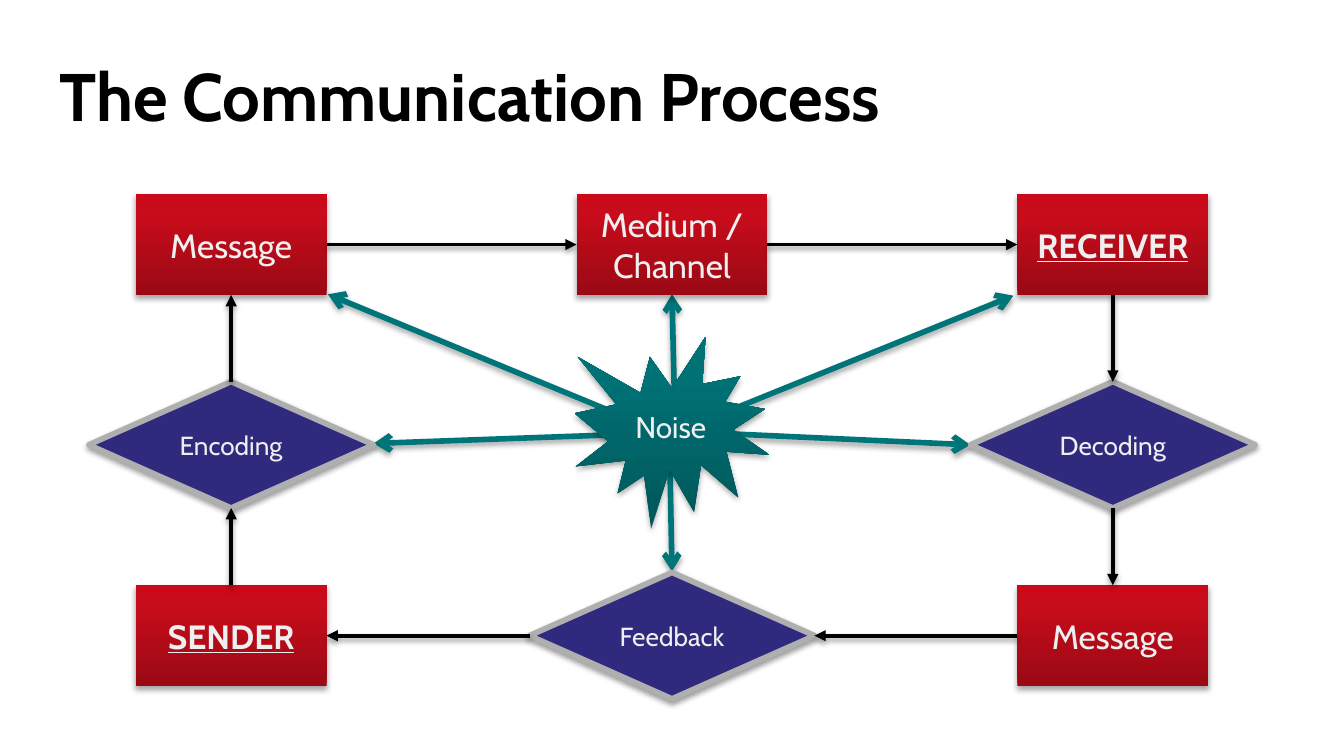
from copy import deepcopy

from lxml.etree import SubElement
from pptx import Presentation
from pptx.dml.color import RGBColor
from pptx.enum.shapes import MSO_CONNECTOR as Connector, MSO_SHAPE as Preset
from pptx.enum.text import MSO_ANCHOR as Anchor, PP_ALIGN as Align
from pptx.oxml.ns import qn
from pptx.util import Inches, Pt

TOP, LEFT, BOTTOM, RIGHT = range(4)


def color(value):
    return RGBColor.from_string(value)


class Diagram:
    font = "Cabin"
    text_color = "EFEFEF"
    red = ("9A0915", "C80C1B", "CC0918")
    teal = ("00575A", "007175", "007276")
    stops = (0, 0.8, 1)
    soft_shadow = (35, 1.8)
    firm_shadow = (38, 1.6)

    def __init__(self, slide):
        self.slide = slide

    def title(self, text, left, top, width, height):
        shape = self.slide.shapes.title
        shape.left, shape.top = Inches(left), Inches(top)
        shape.width, shape.height = Inches(width), Inches(height)
        shape.text_frame.text = text
        shape.text_frame.vertical_anchor = Anchor.TOP
        paragraph = shape.text_frame.paragraphs[0]
        paragraph.alignment = Align.LEFT
        paragraph.line_spacing = Pt(35)
        self.style_font(paragraph.font, 36, "000000", True)

    def style_font(self, font, size, hex_color, bold=False):
        font.name, font.size, font.bold = self.font, Pt(size), bold
        font.color.rgb = color(hex_color)

    def shadow(self, properties, opacity, distance):
        effects = properties.find(qn("a:effectLst"))
        if effects is None:
            effects = SubElement(properties, qn("a:effectLst"))
        outer = SubElement(effects, qn("a:outerShdw"), blurRad=str(Pt(3.1)),
                           dist=str(Pt(distance)), dir="5400000", rotWithShape="0")
        black = SubElement(outer, qn("a:srgbClr"), val="000000")
        SubElement(black, qn("a:alpha"), val=str(opacity * 1000))

    def gradient(self, shape, colors):
        shape.fill.gradient()
        shape.fill.gradient_angle = 90
        stop_list = shape._element.spPr.find(qn("a:gradFill")).find(qn("a:gsLst"))
        stop_list.append(deepcopy(stop_list[0]))
        for stop, position, value in zip(shape.fill.gradient_stops, self.stops, colors):
            stop.position = position
            stop.color.rgb = color(value)

    def node(self, preset, text, center, size, font_size, shadow, strong=False):
        (x, y), (width, height) = center, size
        shape = self.slide.shapes.add_shape(
            preset, Inches(x - width / 2), Inches(y - height / 2),
            Inches(width), Inches(height))
        shape.shadow.inherit = False
        self.shadow(shape._element.spPr, *shadow)
        frame = shape.text_frame
        frame.word_wrap = True
        frame.vertical_anchor = Anchor.MIDDLE
        frame.margin_left = frame.margin_right = Inches(0.05)
        frame.text = text
        paragraph = frame.paragraphs[0]
        paragraph.alignment = Align.CENTER
        self.style_font(paragraph.font, font_size, self.text_color, strong)
        paragraph.font.underline = strong
        return shape

    def process(self, text, center, strong=False):
        shape = self.node(Preset.FLOWCHART_PROCESS, text, center, (1.42, 0.75), 18,
                          self.soft_shadow, strong)
        self.gradient(shape, self.red)
        shape.line.fill.background()
        return shape

    def decision(self, text, center):
        shape = self.node(Preset.FLOWCHART_DECISION, text, center, (2.12, 0.94), 14,
                          self.firm_shadow)
        shape.fill.solid()
        shape.fill.fore_color.rgb = color("302A7E")
        shape.line.color.rgb = color("AFAFAF")
        shape.line.width = Pt(3)
        return shape

    def burst(self, text, center):
        shape = self.node(Preset.EXPLOSION1, text, center, (1.45, 1.43), 16,
                          self.soft_shadow)
        self.gradient(shape, self.teal)
        shape.line.fill.background()

    def arrow(self, start, end, hex_color, width, head, shadow):
        connector = self.slide.shapes.add_connector(
            Connector.STRAIGHT, *(Inches(value) for value in (*start, *end)))
        connector.line.color.rgb = color(hex_color)
        connector.line.width = Pt(width)
        SubElement(connector.line._get_or_add_ln(), qn("a:tailEnd"), type=head)
        self.shadow(connector._element.spPr, *shadow)
        return connector

    def noise_arrow(self, start, end):
        self.arrow(start, end, "007579", 3, "arrow", self.soft_shadow)

    def flow_arrow(self, source, source_site, target, target_site):
        connector = self.arrow((0, 0), (1, 1), "000000", 2, "triangle", self.firm_shadow)
        connector.begin_connect(source, source_site)
        connector.end_connect(target, target_site)


def main():
    presentation = Presentation()
    presentation.slide_width = Inches(10)
    presentation.slide_height = presentation.slide_width * 9 // 16
    diagram = Diagram(presentation.slides.add_slide(presentation.slide_layouts[5]))
    diagram.title("The Communication Process", 0.34, 0.47, 9.22, 0.67)

    for start, end in [
        ((4.98, 3.22), (5, 4.25)),
        ((5.03, 3.21), (7.22, 3.31)),
        ((5.02, 3.22), (7.54, 2.2)),
        ((5.02, 3.04), (5, 2.19)),
        ((4.98, 3.24), (2.44, 2.19)),
        ((5, 3.22), (2.78, 3.3)),
    ]:
        diagram.noise_arrow(start, end)

    left, center, right = 1.72, 5, 8.28
    upper, middle, lower = 1.82, 3.31, 4.73
    sender = diagram.process("SENDER", (left, lower), True)
    message = diagram.process("Message", (left, upper))
    medium = diagram.process("Medium / Channel", (center, upper))
    receiver = diagram.process("RECEIVER", (right, upper), True)
    reply = diagram.process("Message", (right, lower))
    feedback = diagram.decision("Feedback", (center, lower))
    decoding = diagram.decision("Decoding", (right, middle))
    encoding = diagram.decision("Encoding", (left, middle))
    diagram.burst("Noise", (center, 3.22))

    for link in [
        (sender, TOP, encoding, BOTTOM),
        (encoding, TOP, message, BOTTOM),
        (message, RIGHT, medium, LEFT),
        (medium, RIGHT, receiver, LEFT),
        (receiver, BOTTOM, decoding, TOP),
        (decoding, BOTTOM, reply, TOP),
        (reply, LEFT, feedback, RIGHT),
        (feedback, LEFT, sender, RIGHT),
    ]:
        diagram.flow_arrow(*link)

    presentation.save("out.pptx")


if __name__ == "__main__":
    main()
